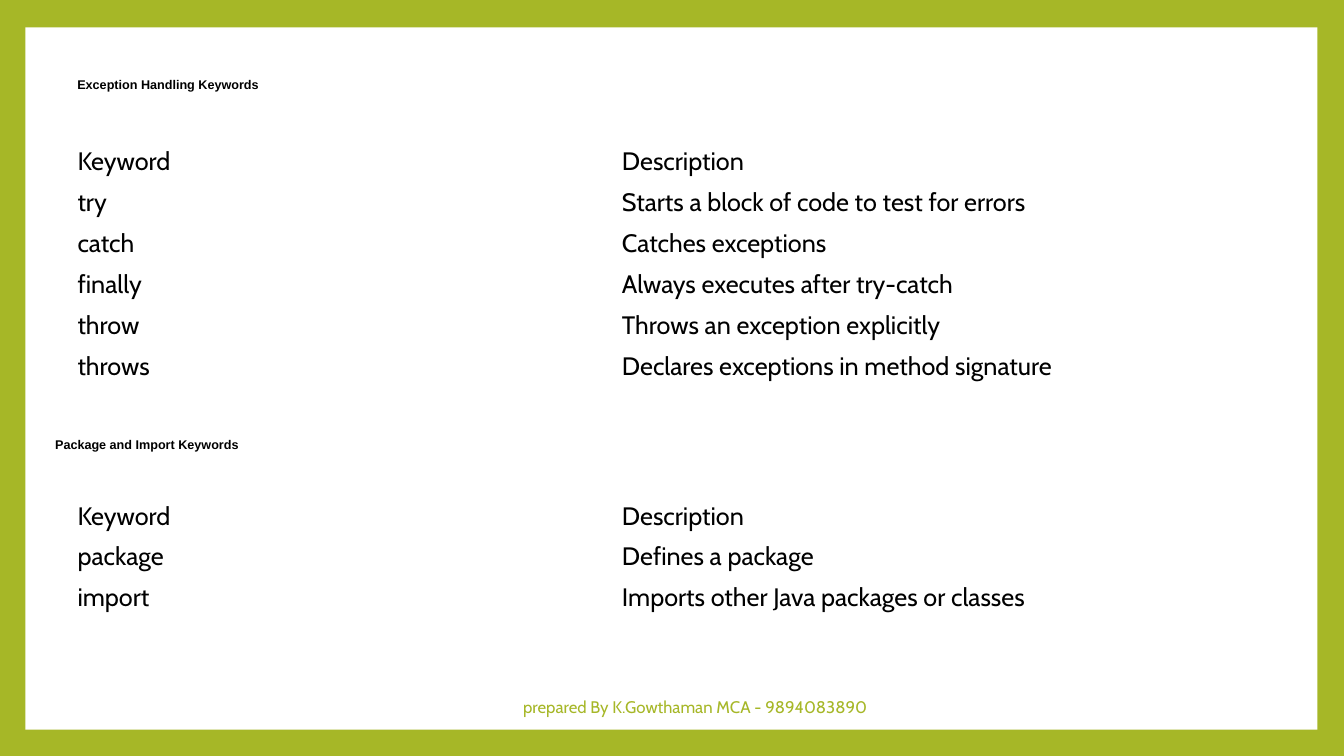
from pptx import Presentation
from pptx.dml.color import RGBColor
from pptx.enum.shapes import MSO_SHAPE
from pptx.enum.text import MSO_ANCHOR as ANCHOR, PP_ALIGN as ALIGN
from pptx.util import Cm, Pt

GREEN, WHITE, BLACK = "A6B727", "FFFFFF", "000000"
COL_WIDTH, ROW_HEIGHT = Cm(13.72), Cm(1.02)

SECTIONS = [
    ("Exception Handling Keywords", 1.7, 1.85, 3.56, [
        ("Keyword", "Description"),
        ("try", "Starts a block of code to test for errors"),
        ("catch", "Catches exceptions"),
        ("finally", "Always executes after try-catch"),
        ("throw", "Throws an exception explicitly"),
        ("throws", "Declares exceptions in method signature"),
    ]),
    ("Package and Import Keywords", 1.14, 10.92, 12.5, [
        ("Keyword", "Description"),
        ("package", "Defines a package"),
        ("import", "Imports other Java packages or classes"),
    ]),
]


def rgb(value):
    return RGBColor.from_string(value)


def set_text(tf, text, size, font="Cabin", color=BLACK, bold=False):
    """Fill a text frame with one formatted paragraph and return it."""
    tf.text = text
    tf.word_wrap = True
    p = tf.paragraphs[0]
    f = p.runs[0].font
    f.size, f.name, f.bold = Pt(size), font, bold
    f.color.rgb = rgb(color)
    return p


prs = Presentation()
prs.slide_width, prs.slide_height = Cm(33.87), Cm(19.05)
s = prs.slides.add_slide(prs.slide_layouts[6])
s.background.fill.solid()
s.background.fill.fore_color.rgb = rgb(GREEN)

panel = s.shapes.add_shape(MSO_SHAPE.RECTANGLE, Cm(0.64), Cm(0.69), Cm(32.56), Cm(17.7))
panel.shadow.inherit = False
panel.fill.solid()
panel.fill.fore_color.rgb = rgb(WHITE)
panel.line.fill.background()

for heading, heading_left, heading_top, table_top, rows in SECTIONS:
    table = s.shapes.add_table(len(rows), 2, Cm(1.7), Cm(table_top),
                               2 * COL_WIDTH, len(rows) * ROW_HEIGHT).table
    table.first_row = table.horz_banding = False
    for col in table.columns:
        col.width = COL_WIDTH
    for r, row in enumerate(rows):
        table.rows[r].height = ROW_HEIGHT
        for c, text in enumerate(row):
            cell = table.cell(r, c)
            cell.fill.background()
            cell.vertical_anchor = ANCHOR.MIDDLE
            set_text(cell.text_frame, text, 18)

    sp = s.shapes.add_textbox(Cm(heading_left), Cm(heading_top), Cm(30), Cm(1.27))
    tf = sp.text_frame
    tf.vertical_anchor = ANCHOR.TOP
    tf.margin_top = Cm(0.08)
    set_text(tf, heading, 9, "Arial", bold=True)

footer = s.shapes.add_textbox(Cm(10.97), Cm(17.3), Cm(13.11), Cm(1.02))
footer.text_frame.vertical_anchor = ANCHOR.MIDDLE
p = set_text(footer.text_frame, "prepared By K.Gowthaman MCA - 9894083890", 12, color=GREEN)
p.alignment = ALIGN.CENTER

prs.save("out.pptx")
